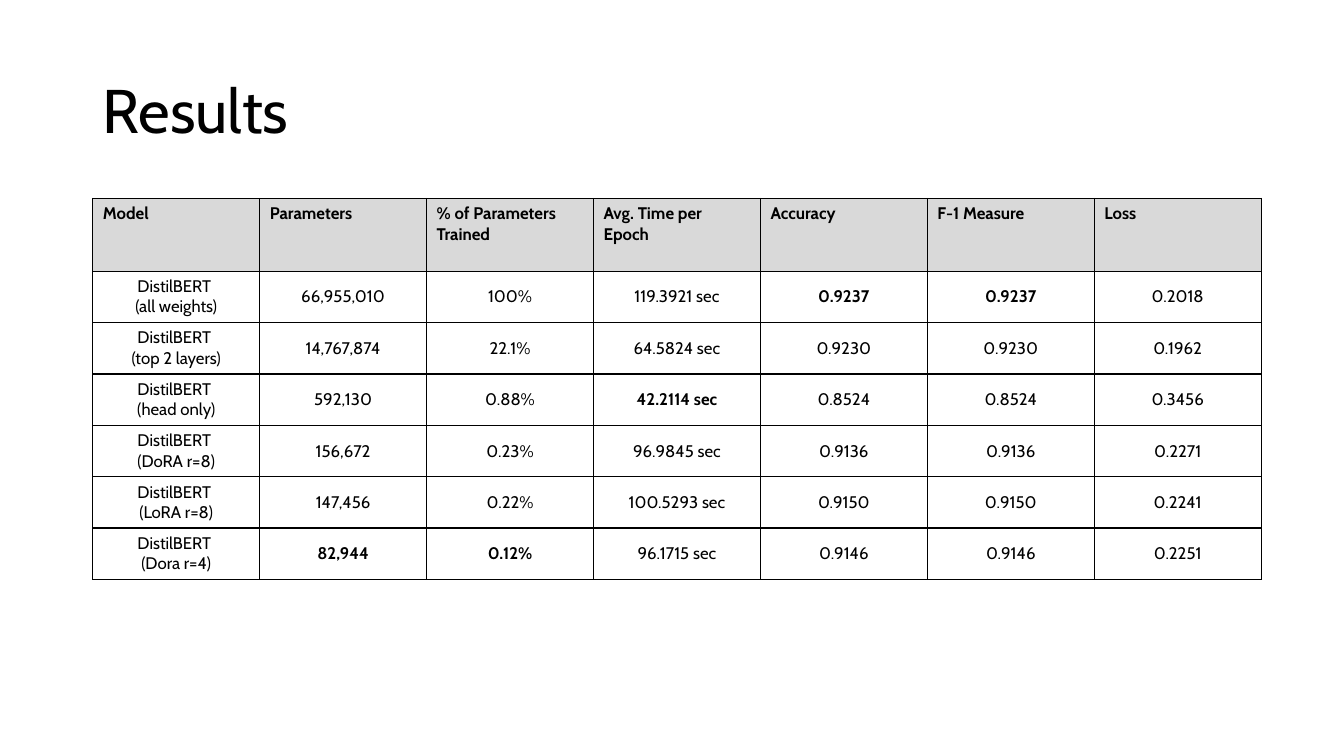
from lxml.etree import SubElement
from pptx import Presentation
from pptx.dml.color import RGBColor
from pptx.enum.text import MSO_ANCHOR, PP_ALIGN
from pptx.oxml.ns import qn
from pptx.util import Inches, Pt

COLORS = {"text": "000000", "border": "000000", "header": "D9D9D9"}
FONT = "Cabin"

HEADERS = ["Model", "Parameters", "% of Parameters Trained", "Avg. Time per Epoch",
           "Accuracy", "F-1 Measure", "Loss"]
RESULTS = [
    ["(all weights)", "66,955,010", "100%", "119.3921 sec", "0.9237", "0.9237", "0.2018"],
    ["(top 2 layers)", "14,767,874", "22.1%", "64.5824 sec", "0.9230", "0.9230", "0.1962"],
    ["(head only)", "592,130", "0.88%", "42.2114 sec", "0.8524", "0.8524", "0.3456"],
    ["(DoRA r=8)", "156,672", "0.23%", "96.9845 sec", "0.9136", "0.9136", "0.2271"],
    ["(LoRA r=8)", "147,456", "0.22%", "100.5293 sec", "0.9150", "0.9150", "0.2241"],
    ["(Dora r=4)", "82,944", "0.12%", "96.1715 sec", "0.9146", "0.9146", "0.2251"],
]
# Highlighted results as (table row, column), with the header as row 0
BEST = {(1, 4), (1, 5), (3, 3), (6, 1), (6, 2)}


def style_font(para, size, bold=False):
    para.font.name = FONT
    para.font.size = Pt(size)
    para.font.bold = bold
    para.font.color.rgb = RGBColor.from_string(COLORS["text"])


def add_borders(cell):
    properties = cell._tc.get_or_add_tcPr()
    for side in ("lnL", "lnR", "lnT", "lnB"):
        line = SubElement(properties, qn(f"a:{side}"), w=str(Pt(1)))
        fill = SubElement(line, qn("a:solidFill"))
        SubElement(fill, qn("a:srgbClr"), val=COLORS["border"])


deck = Presentation()
deck.slide_width = Inches(13.33)
deck.slide_height = Inches(7.5)
page = deck.slides.add_slide(deck.slide_layouts[6])

title_box = page.shapes.add_textbox(Inches(0.92), Inches(0.4), Inches(11.5), Inches(1.45))
title_frame = title_box.text_frame
title_frame.word_wrap = True
title_frame.vertical_anchor = MSO_ANCHOR.MIDDLE
title = title_frame.paragraphs[0]
title.text = "Results"
title.line_spacing = 0.9
style_font(title, 44)

rows = [HEADERS] + [["DistilBERT \n" + variant, *values] for variant, *values in RESULTS]
table = page.shapes.add_table(len(rows), len(HEADERS), Inches(0.92), Inches(1.97),
                              Inches(11.59), Inches(3.78)).table
for column in table.columns:
    column.width = Inches(11.59 / len(HEADERS))
for row in table.rows:
    row.height = Inches(0.51)
table.rows[0].height = Inches(0.72)

for row_index, row_texts in enumerate(rows):
    is_header = row_index == 0
    for column_index, text in enumerate(row_texts):
        cell = table.cell(row_index, column_index)
        cell.text = text
        add_borders(cell)
        if is_header:
            cell.fill.solid()
            cell.fill.fore_color.rgb = RGBColor.from_string(COLORS["header"])
        else:
            cell.fill.background()
            if column_index > 0:
                cell.vertical_anchor = MSO_ANCHOR.MIDDLE
        for para in cell.text_frame.paragraphs:
            para.alignment = PP_ALIGN.LEFT if is_header else PP_ALIGN.CENTER
            style_font(para, 12, is_header or (row_index, column_index) in BEST)

deck.save("out.pptx")
